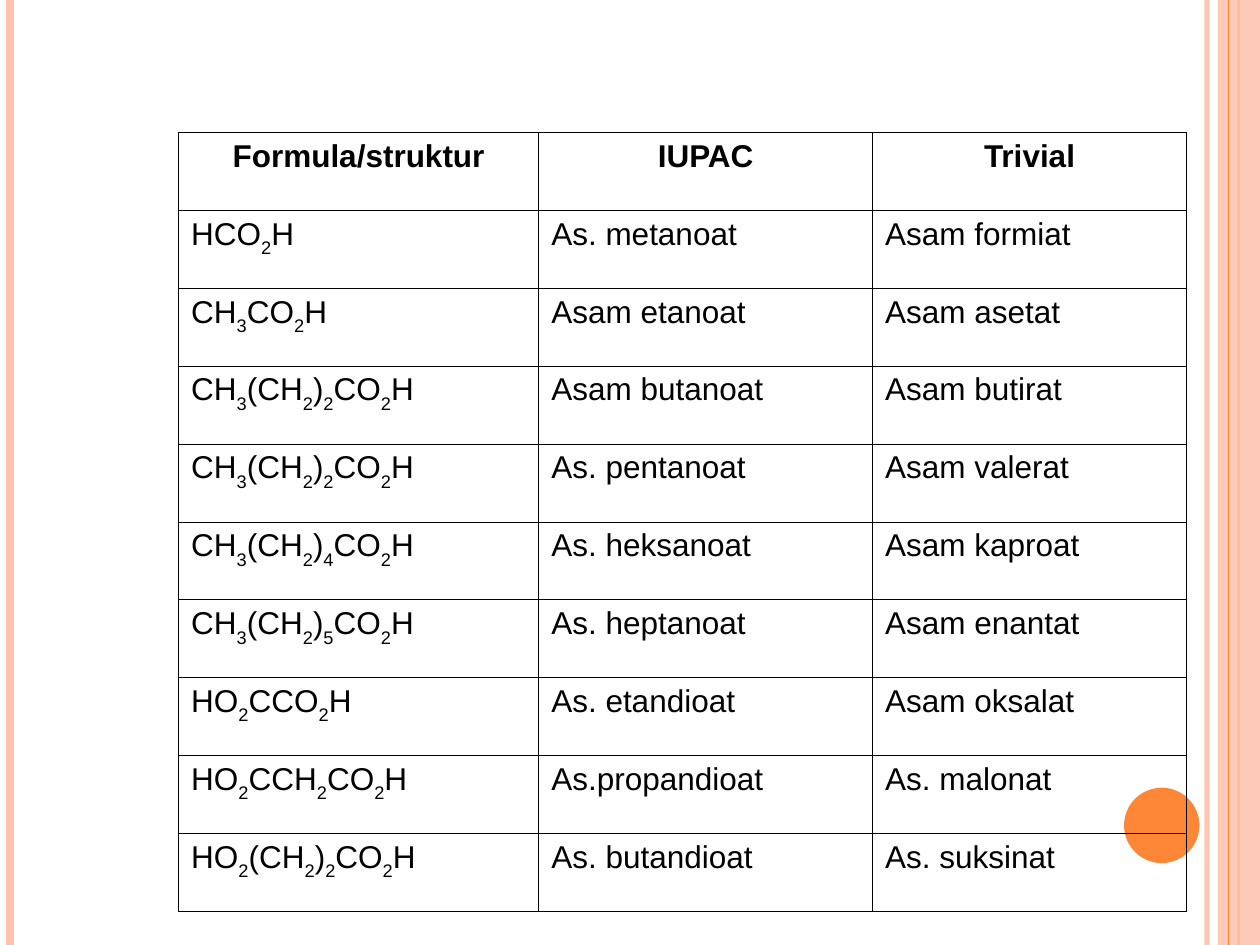
from itertools import groupby

from lxml.etree import SubElement
from pptx import Presentation
from pptx.dml.color import RGBColor
from pptx.enum.shapes import MSO_CONNECTOR, MSO_SHAPE
from pptx.enum.text import PP_ALIGN
from pptx.oxml.ns import qn
from pptx.util import Cm, Pt

WIDTH, HEIGHT = 25.4, 19.05
PEACH, ORANGE, BLACK = "FEC3AE", "FE8637", "000000"
HEADER = ("Formula/struktur", "IUPAC", "Trivial")
ACIDS = [
    ("HCO2H", "As. metanoat", "Asam formiat"),
    ("CH3CO2H", "Asam etanoat", "Asam asetat"),
    ("CH3(CH2)2CO2H", "Asam butanoat", "Asam butirat"),
    ("CH3(CH2)2CO2H", "As. pentanoat", "Asam valerat"),
    ("CH3(CH2)4CO2H", "As. heksanoat", "Asam kaproat"),
    ("CH3(CH2)5CO2H", "As. heptanoat", "Asam enantat"),
    ("HO2CCO2H", "As. etandioat", "Asam oksalat"),
    ("HO2CCH2CO2H", "As.propandioat", "As. malonat"),
    ("HO2(CH2)2CO2H", "As. butandioat", "As. suksinat"),
]


def color(value):
    return RGBColor.from_string(value)


def set_alpha(sp, percent):
    for clr in sp._element.spPr.iter(qn("a:srgbClr")):
        SubElement(clr, qn("a:alpha"), val=str(percent * 1000))


def write(p, text, font="Arial", size=18, fill=BLACK, bold=False,
          align=PP_ALIGN.LEFT, hanging=0.97):
    p.alignment = align
    pPr = p._p.get_or_add_pPr()
    pPr.set("marL", str(Cm(hanging)))
    pPr.set("indent", str(-Cm(hanging)))
    for is_digit, chars in groupby(text, str.isdigit):
        r = p.add_run()
        r.text = "".join(chars)
        r.font.name, r.font.size, r.font.bold = font, Pt(size), bold
        r.font.color.rgb = color(fill)
        if is_digit:
            r.font._element.set("baseline", "-30000")


class SlideBuilder:
    def __init__(self, s, border=BLACK, border_width=0.45):
        self.s = s
        self.border = border
        self.border_width = border_width

    def vertical_line(self, x, stroke, width, alpha=100):
        line = self.s.shapes.add_connector(
            MSO_CONNECTOR.STRAIGHT, Cm(x), 0, Cm(x), Cm(HEIGHT))
        line.line.color.rgb = color(stroke)
        line.line.width = Pt(width)
        SubElement(line._element.spPr, qn("a:effectLst"))
        if alpha < 100:
            set_alpha(line, alpha)

    def shape(self, kind, x, y, w, h, fill, alpha=100):
        sp = self.s.shapes.add_shape(kind, Cm(x), Cm(y), Cm(w), Cm(h))
        sp.shadow.inherit = False
        sp.fill.solid()
        sp.fill.fore_color.rgb = color(fill)
        sp.line.fill.background()
        if alpha < 100:
            set_alpha(sp, alpha)

    def cell_borders(self, cell):
        tcPr = cell._tc.get_or_add_tcPr()
        for side in ("lnL", "lnR", "lnT", "lnB"):
            ln = SubElement(tcPr, qn(f"a:{side}"), w=str(Pt(self.border_width)))
            solid = SubElement(ln, qn("a:solidFill"))
            SubElement(solid, qn("a:srgbClr"), val=self.border)

    def table(self, x, y, col_widths, row_height, rows):
        frame = self.s.shapes.add_table(
            len(rows), len(col_widths), Cm(x), Cm(y),
            Cm(sum(col_widths)), Cm(row_height * len(rows)))
        table = frame.table
        table.first_row = table.horz_banding = False
        for col, width in zip(table.columns, col_widths):
            col.width = Cm(width)
        for i, row in enumerate(rows):
            table.rows[i].height = Cm(row_height)
            style = dict(bold=True, align=PP_ALIGN.CENTER) if i == 0 else {}
            for j, text in enumerate(row):
                cell = table.cell(i, j)
                self.cell_borders(cell)
                cell.fill.background()
                write(cell.text_frame.paragraphs[0], text, **style)


def main():
    prs = Presentation()
    prs.slide_width, prs.slide_height = Cm(WIDTH), Cm(HEIGHT)
    builder = SlideBuilder(prs.slides.add_slide(prs.slide_layouts[6]))
    builder.vertical_line(24.33, PEACH, 3, alpha=93)
    builder.vertical_line(0.21, PEACH, 4.5)
    builder.vertical_line(24.97, ORANGE, 1.5)
    builder.shape(MSO_SHAPE.RECTANGLE, 24.55, 0, 0.85, HEIGHT, PEACH, alpha=87)
    builder.vertical_line(24.77, ORANGE, 0.75)
    builder.shape(MSO_SHAPE.OVAL, 22.66, 15.88, 1.52, 1.52, ORANGE)
    builder.table(3.6, 2.67, (7.26, 6.73, 6.33), 1.57, [HEADER, *ACIDS])
    prs.save("out.pptx")


if __name__ == "__main__":
    main()
